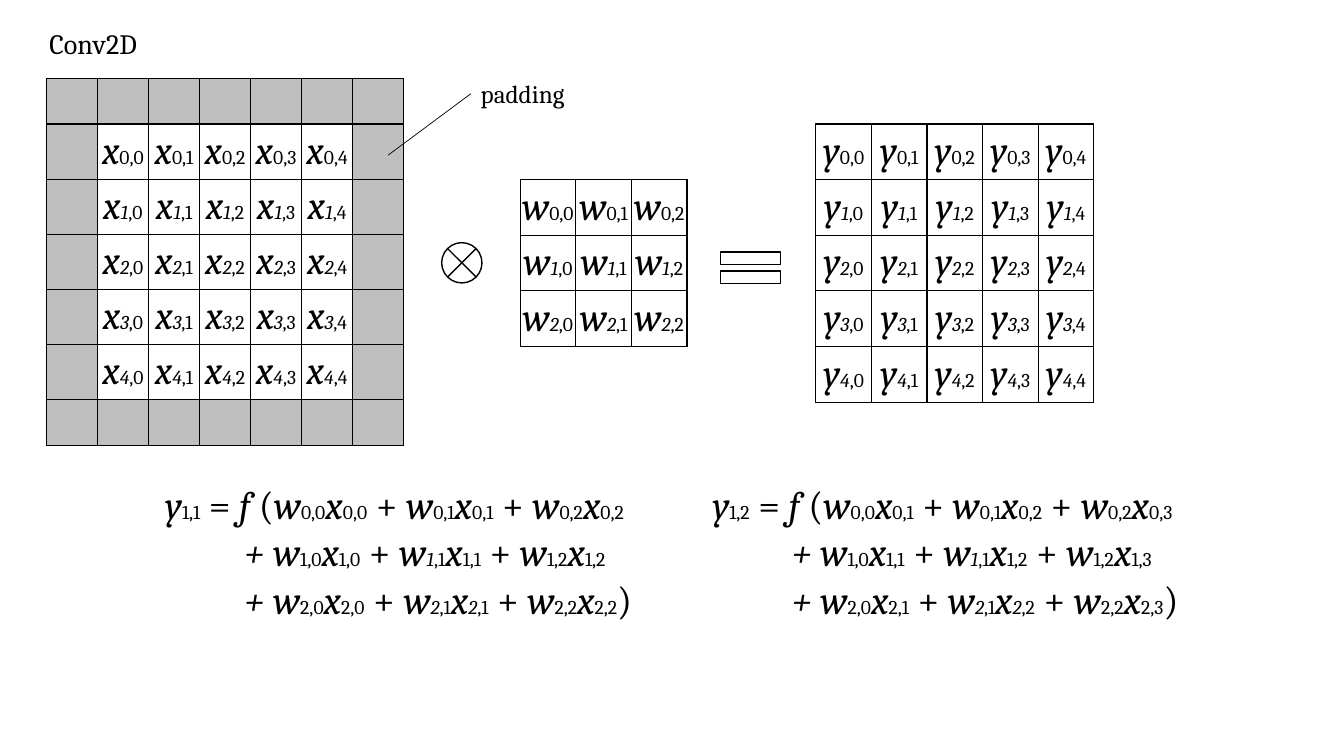
from dataclasses import dataclass
from typing import Any, NamedTuple

from lxml.etree import SubElement
from pptx import Presentation
from pptx.dml.color import RGBColor
from pptx.enum.shapes import MSO_CONNECTOR, MSO_SHAPE
from pptx.enum.text import MSO_ANCHOR, PP_ALIGN
from pptx.oxml.ns import qn
from pptx.util import Inches, Pt

FONT = "Cambria"
BLACK, WHITE, GRAY = "000000", "FFFFFF", "BFBFBF"
LARGE, SMALL = 28, 14
KERNEL = 3

deck = Presentation()
deck.slide_width, deck.slide_height = Inches(13.33), Inches(7.5)
page = deck.slides.add_slide(deck.slide_layouts[6])


class Span(NamedTuple):
    text: str
    size: float = LARGE
    italic: bool = False


class Area(NamedTuple):
    """Left, top, width and height in percent of the slide."""
    left: float
    top: float
    width: float
    height: float


@dataclass
class Matrix:
    letter: str
    left: float
    top: float
    size: int
    column: float
    row: float
    fill: str | None = None
    border: float = 0  # height of the padding rows; 0 means no padding


@dataclass
class Sign:
    kind: MSO_SHAPE
    area: Area
    fill: str | None = None
    rotation: float = 0


def across(percent: float) -> int:
    return round(deck.slide_width * percent / 100)


def down(percent: float) -> int:
    return round(deck.slide_height * percent / 100)


def place(area: Area) -> tuple[int, int, int, int]:
    return across(area.left), down(area.top), across(area.width), down(area.height)


def color(value: str) -> RGBColor:
    return RGBColor.from_string(value)


def apply(target: Any, values: dict[str, Any]) -> None:
    for name, value in values.items():
        setattr(target, name, value)


def paint(fill: Any, value: str | None) -> None:
    if value is None:
        fill.background()
    else:
        fill.solid()
        fill.fore_color.rgb = color(value)


def write(para: Any, spans: list[Span]) -> None:
    for span in spans:
        run = para.add_run()
        run.text = span.text
        apply(run.font, {"name": FONT, "size": Pt(span.size), "italic": span.italic})
        run.font.color.rgb = color(BLACK)


def symbol(letter: str, row: int, column: int, slanted: bool) -> list[Span]:
    """A letter with its index; slanted sets the row index in italics."""
    return [Span(letter, LARGE, True), Span(f"{row}", SMALL, slanted),
            Span(f",{column}", SMALL)]


def outline(cell: Any) -> None:
    properties = cell._tc.get_or_add_tcPr()
    for side in ("a:lnL", "a:lnR", "a:lnT", "a:lnB"):
        line = SubElement(properties, qn(side), w=str(Pt(1)))
        SubElement(SubElement(line, qn("a:solidFill")), qn("a:srgbClr"), val=BLACK)


def draw_matrix(matrix: Matrix) -> None:
    pad = 1 if matrix.border else 0
    count = matrix.size + 2 * pad
    heights = [matrix.border] * pad + [matrix.row] * matrix.size + [matrix.border] * pad
    area = Area(matrix.left, matrix.top, matrix.column * count, sum(heights))
    table = page.shapes.add_table(count, count, *place(area)).table
    apply(table, {"first_row": False, "horz_banding": False})
    for column in table.columns:
        column.width = across(matrix.column)
    for row, height in zip(table.rows, heights):
        row.height = down(height)
    inside = range(matrix.size)
    for i in range(count):
        for j in range(count):
            cell = table.cell(i, j)
            apply(cell, {"margin_left": 0, "margin_right": 0, "margin_top": 0,
                         "margin_bottom": 0, "vertical_anchor": MSO_ANCHOR.MIDDLE})
            outline(cell)
            row, column = i - pad, j - pad
            filled = row in inside and column in inside
            paint(cell.fill, matrix.fill if filled else GRAY)
            if filled:
                para = cell.text_frame.paragraphs[0]
                para.alignment = PP_ALIGN.CENTER
                write(para, symbol(matrix.letter, row, column, row > 0))


def draw_sign(sign: Sign) -> None:
    shape = page.shapes.add_shape(sign.kind, *place(sign.area))
    apply(shape, {"rotation": sign.rotation})
    shape.shadow.inherit = False
    paint(shape.fill, sign.fill)
    shape.line.color.rgb = color(BLACK)
    shape.line.width = Pt(1)


def draw_text(area: Area, lines: list[list[Span]], indent: float = 0) -> None:
    """Write one paragraph per line; indent moves all lines after the first."""
    frame = page.shapes.add_textbox(*place(area)).text_frame
    frame.word_wrap = True
    for number, spans in enumerate(lines):
        para = frame.add_paragraph() if number else frame.paragraphs[0]
        if number and indent:
            para._p.get_or_add_pPr().set("marL", str(across(indent)))
        write(para, spans)


def equation(shift: int) -> list[list[Span]]:
    """The sum for y at row 1 and column 1 + shift, one kernel row a line."""
    lines = []
    for row in range(KERNEL):
        spans = [Span("+ ", LARGE, True)] if row else [
            Span("y", LARGE, True), Span(f"1,{1 + shift}", SMALL),
            Span(" = "), Span("f ", LARGE, True), Span("(")]
        for column in range(KERNEL):
            middle = column == 1
            if column:
                spans.append(Span(" + "))
            spans += symbol("w", row, column, middle and row > 0)
            spans += symbol("x", row, column + shift, middle and row == 2)
        lines.append(spans)
    lines[-1].append(Span(")"))
    return lines


# Input with padding, kernel and output
for matrix in (
    Matrix("x", 3.45, 10.4, 5, 3.8, 7.3, WHITE, border=6),
    Matrix("w", 38.7, 23.75, KERNEL, 4.14, 7.36),
    Matrix("y", 60.7, 16.4, 5, 4.14, 7.36),
):
    draw_matrix(matrix)

# Operators between the matrices
for sign in (
    Sign(MSO_SHAPE.FLOWCHART_OR, Area(32.86, 32.1, 3, 5.33), rotation=45),
    Sign(MSO_SHAPE.MATH_EQUAL, Area(52.8, 31.9, 6.08, 7.07), WHITE),
):
    draw_sign(sign)

# Sums for two neighbouring outputs
for shift in range(2):
    draw_text(Area(11.55 + 40.73 * shift, 62.93, 40.73, 20.13), equation(shift), 5.9)

# Padding label with its leader line
draw_text(Area(35.03, 9.73, 8.63, 5.33), [[Span("padding", 18)]])
leader = page.shapes.add_connector(
    MSO_CONNECTOR.STRAIGHT, across(28.88), down(20.53), across(35.03), down(12.4))
leader.line.color.rgb = color(BLACK)
leader.line.width = Pt(0.5)
SubElement(leader._element.spPr, qn("a:effectLst"))

# Title
draw_text(Area(2.93, 2.8, 27.68, 5.87), [[Span("Conv2D", 20)]])

deck.save("out.pptx")
